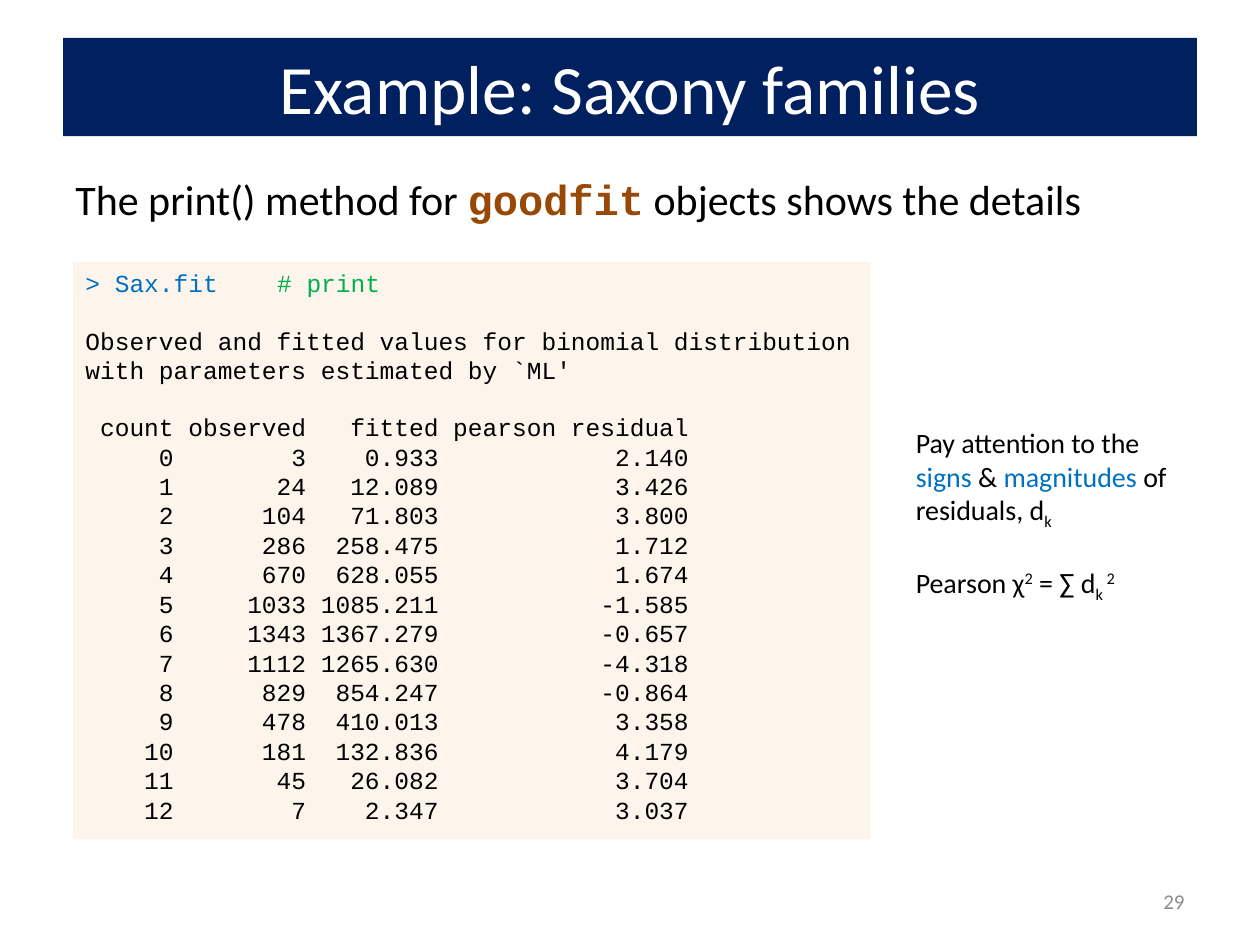
import lxml.etree
import pptx
import pptx.dml.color
import pptx.enum.shapes
import pptx.enum.text
import pptx.oxml.ns
import pptx.util

Inches = pptx.util.Inches
ALIGN = pptx.enum.text.PP_ALIGN
ANCHOR = pptx.enum.text.MSO_ANCHOR

COLORS = {
    "navy": "002060", "white": "FFFFFF", "black": "000000", "gray": "8C8C8C",
    "brown": "984807", "blue": "0070C0", "green": "00B050", "peach": "FDEADA",
}

TITLE = [[("Example: Saxony families", {"color": "white"})]]
NUMBER = [[("29", {"color": "gray"})]]
LEAD = [[
    ("The print() method for ", {}),
    ("goodfit", {"name": "Courier New", "color": "brown", "bold": True}),
    (" objects shows the details", {}),
]]
NOTE = [
    [("Pay attention to the ", {}), ("signs", {"color": "blue"}), (" & ", {}),
     ("magnitudes", {"color": "blue"}), (" of residuals, d", {}), ("k", {"baseline": -25})],
    [("Pearson χ", {}), ("2", {"baseline": 30}), (" = ∑ d", {}),
     ("k ", {"baseline": -25}), ("2", {"baseline": 30})],
]
COMMAND = [("> Sax.fit    ", {"color": "blue"}), ("# print", {"color": "green"})]
MESSAGE = ["Observed and fitted values for binomial distribution",
           "with parameters estimated by `ML'"]
HEADINGS = ("count", "observed", "fitted", "pearson residual")
FIT = [
    (0, 3, 0.933, 2.140),
    (1, 24, 12.089, 3.426),
    (2, 104, 71.803, 3.800),
    (3, 286, 258.475, 1.712),
    (4, 670, 628.055, 1.674),
    (5, 1033, 1085.211, -1.585),
    (6, 1343, 1367.279, -0.657),
    (7, 1112, 1265.630, -4.318),
    (8, 829, 854.247, -0.864),
    (9, 478, 410.013, 3.358),
    (10, 181, 132.836, 4.179),
    (11, 45, 26.082, 3.704),
    (12, 7, 2.347, 3.037),
]


def rgb(color):
    return pptx.dml.color.RGBColor.from_string(COLORS[color])


def console_lines():
    """Lay the fit out as right-aligned columns of console text."""
    rows = [HEADINGS] + [(count, observed, f"{fitted:.3f}", f"{residual:.3f}")
                         for count, observed, fitted, residual in FIT]
    table = [f"{a:>6} {b:>8} {c:>8} {d:>16}" for a, b, c, d in rows]
    return [COMMAND] + [[(line, {})] for line in MESSAGE + table]


def place(shape, left, top, width, height):
    shape.left, shape.top = Inches(left), Inches(top)
    shape.width, shape.height = Inches(width), Inches(height)


def write(shape, paragraphs, size, font="Calibri", align=ALIGN.LEFT,
          anchor=ANCHOR.TOP, gaps=None):
    """Fill a shape with styled spans; gaps maps paragraph index to space before."""
    frame = shape.text_frame
    settings = {"word_wrap": True, "auto_size": pptx.enum.text.MSO_AUTO_SIZE.NONE,
                "vertical_anchor": anchor}
    for name, value in settings.items():
        setattr(frame, name, value)
    for index, spans in enumerate(paragraphs):
        para = frame.paragraphs[0] if index == 0 else frame.add_paragraph()
        para.alignment = align
        para.space_before = pptx.util.Pt((gaps or {}).get(index, 0))
        for text, changes in spans:
            span = para.add_run()
            span.text = text
            style = {"name": font, "size": pptx.util.Pt(size), "bold": False, **changes}
            baseline = style.pop("baseline", 0)
            span.font.color.rgb = rgb(style.pop("color", "black"))
            for name, value in style.items():
                setattr(span.font, name, value)
            if baseline:
                span.font._element.set("baseline", str(baseline * 1000))


def fill(shape, color, opacity=100):
    shape.fill.solid()
    shape.fill.fore_color.rgb = rgb(color)
    shape.line.fill.background()
    if opacity < 100:
        tag = pptx.oxml.ns.qn("a:srgbClr")
        swatch = next(shape._element.spPr.iter(tag))
        alpha = lxml.etree.SubElement(swatch, pptx.oxml.ns.qn("a:alpha"))
        alpha.set("val", str(opacity * 1000))


def add_text(page, at, paragraphs, size, **layout):
    box = page.shapes.add_textbox(*map(Inches, at))
    write(box, paragraphs, size, **layout)


def main():
    deck = pptx.Presentation()
    deck.slide_width, deck.slide_height = Inches(10), Inches(7.5)
    page = deck.slides.add_slide(deck.slide_layouts[5])

    title = page.shapes.title
    place(title, 0.5, 0.3, 9, 0.78)
    fill(title, "navy")
    write(title, TITLE, 39.6, align=ALIGN.CENTER, anchor=ANCHOR.MIDDLE)

    add_text(page, (7.17, 6.95, 2.33, 0.4), NUMBER, 12,
             align=ALIGN.RIGHT, anchor=ANCHOR.MIDDLE)
    add_text(page, (0.5, 1.33, 9, 0.5), LEAD, 24)

    console = page.shapes.add_shape(pptx.enum.shapes.MSO_SHAPE.RECTANGLE,
                                    *map(Inches, (0.58, 2.08, 6.33, 4.58)))
    console.shadow.inherit = False
    fill(console, "peach", opacity=50)
    table_start = 1 + len(MESSAGE)
    write(console, console_lines(), 14, font="Courier New",
          gaps={1: 15.9, table_start: 15.9})

    add_text(page, (7.17, 3.33, 2.33, 1.99), NOTE, 16, gaps={1: 19.5})
    deck.save("out.pptx")


if __name__ == "__main__":
    main()
